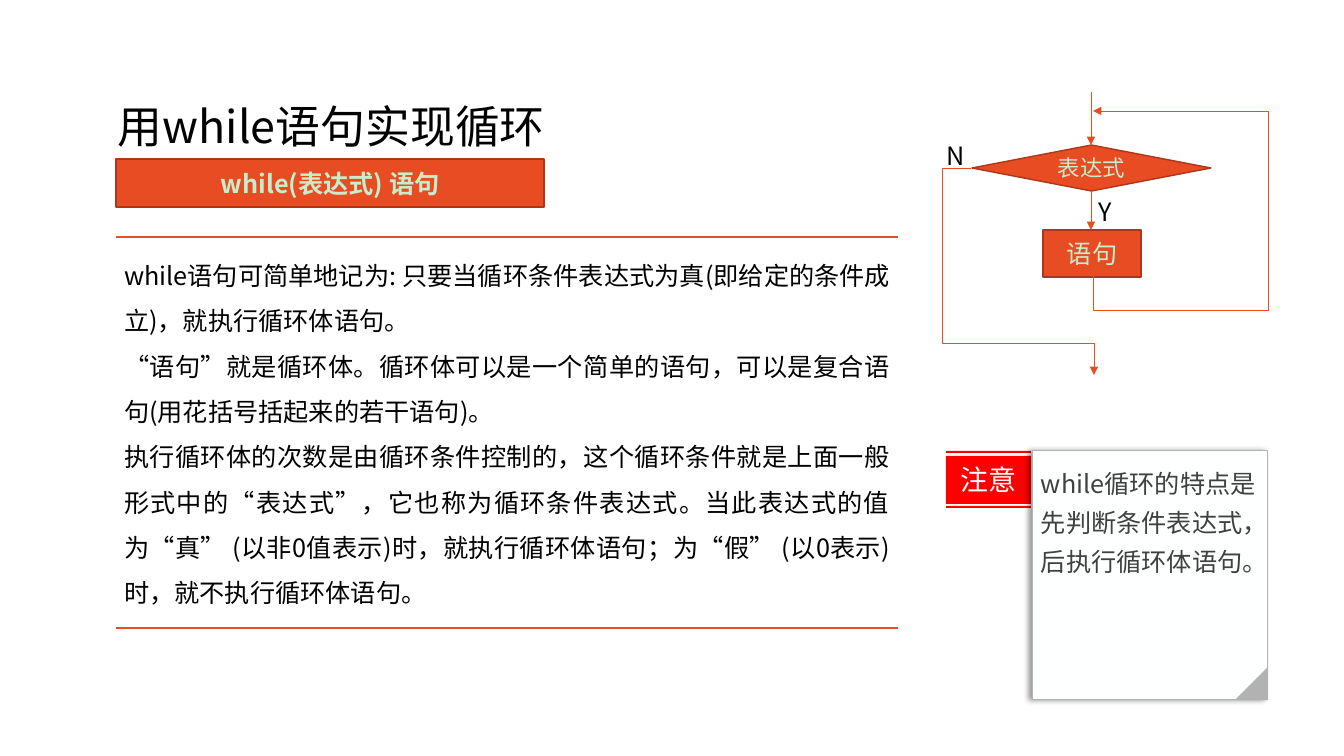
import lxml.etree
import pptx
import pptx.dml.color
import pptx.enum.shapes
import pptx.enum.text
import pptx.oxml.ns
import pptx.util

PX = 914400 / 100.8
THEME = {
    "font": "Noto Sans CJK SC",
    "orange": "E84C22", "rust": "AC3819", "mint": "C7EDCC", "red": "FF0000",
    "white": "FEFFFF", "grey": "B2B2B2", "dark": "404040", "black": "000000",
    "title": 32, "tag": 20, "body": 18, "small": 16,
}
KIND = pptx.enum.shapes.MSO_SHAPE
ALIGN = pptx.enum.text.PP_ALIGN
ANCHOR = pptx.enum.text.MSO_ANCHOR
qn = pptx.oxml.ns.qn


def dress(shape, fill=None, line=None, width=1, arrow=False):
    """Set fill and outline, drop the theme shadow and return the effect list."""
    if hasattr(shape, "fill"):
        if fill:
            shape.fill.solid()
            shape.fill.fore_color.rgb = pptx.dml.color.RGBColor.from_string(THEME[fill])
        else:
            shape.fill.background()
    if line:
        shape.line.color.rgb = pptx.dml.color.RGBColor.from_string(THEME[line])
        shape.line.width = pptx.util.Pt(width)
    else:
        shape.line.fill.background()
    props = shape.element.spPr
    if arrow:
        lxml.etree.SubElement(props.find(qn("a:ln")), qn("a:tailEnd"), type="triangle")
    return lxml.etree.SubElement(props, qn("a:effectLst"))


def write(shape, text, size, color, bold=False, align=ALIGN.CENTER,
          anchor=ANCHOR.MIDDLE, space=1.0, inset=None):
    frame = shape.text_frame
    form = {"text": text, "word_wrap": True, "vertical_anchor": anchor}
    if inset is not None:
        for side in ("left", "top", "right", "bottom"):
            form["margin_" + side] = round(inset * PX)
    for name, value in form.items():
        setattr(frame, name, value)
    for para in frame.paragraphs:
        para.alignment, para.line_spacing = align, space
        font = para.runs[0].font
        look = {"name": THEME["font"], "size": pptx.util.Pt(THEME[size]), "bold": bold}
        for name, value in look.items():
            setattr(font, name, value)
        font.color.rgb = pptx.dml.color.RGBColor.from_string(THEME[color])
        lxml.etree.SubElement(para.runs[0].font._element, qn("a:ea"), typeface=THEME["font"])


deck = pptx.Presentation()
deck.slide_width, deck.slide_height = round(1344 * PX), round(756 * PX)
slide = deck.slides.add_slide(deck.slide_layouts[6])
shapes = slide.shapes

# Title and the letters of the flow chart
for text, box, size, anchor, space in [
    ("用while语句实现循环", (108, 37, 653, 184), "title", ANCHOR.MIDDLE, 0.9),
    ("Y", (1089, 191, 50, 40), "body", ANCHOR.TOP, 1.0),
    ("N", (937, 135, 50, 40), "body", ANCHOR.TOP, 1.0),
]:
    label = shapes.add_textbox(*[round(n * PX) for n in box])
    write(label, text, size, "black", align=ALIGN.LEFT, anchor=anchor, space=space)

# Syntax banner and flow chart boxes
for kind, text, box, size, bold in [
    (KIND.RECTANGLE, "while(表达式) 语句", (116, 159, 428, 48), "body", True),
    (KIND.FLOWCHART_DECISION, "表达式", (972, 145, 239, 46), "small", False),
    (KIND.RECTANGLE, "语句", (1043, 230, 98, 47), "body", False),
]:
    block = shapes.add_shape(kind, *[round(n * PX) for n in box])
    dress(block, "orange", "rust")
    write(block, text, size, "mint", bold)

# Straight arrows of the flow chart
for top, end in [(92, 145), (191, 230)]:
    arrow = shapes.add_connector(pptx.enum.shapes.MSO_CONNECTOR.STRAIGHT,
                                 *[round(n * PX) for n in (1091, top, 1091, end)])
    dress(arrow, line="orange", width=0.5, arrow=True)

# Bent arrows: back to the test, and out of the loop
for start, *turns in [
    [(1093, 274), (1093, 310), (1268, 310), (1268, 111), (1093, 111)],
    [(971, 168), (942, 168), (942, 343), (1094, 343), (1094, 375)],
]:
    route = shapes.build_freeform(*start, scale=PX)
    route.add_line_segments(turns, close=False)
    dress(route.convert_to_shape(), line="orange", width=0.5, arrow=True)

# Main text between two rules
rules = shapes.build_freeform(116, 628, scale=PX)
rules.add_line_segments([(898, 628)], close=False)
rules.move_to(116, 237)
rules.add_line_segments([(898, 237)], close=False)
body = rules.convert_to_shape()
dress(body, line="orange", width=2)
write(body, "\n".join([
    "while语句可简单地记为: 只要当循环条件表达式为真(即给定的条件成立)，就执行循环体语句。",
    "“语句”就是循环体。循环体可以是一个简单的语句，可以是复合语句(用花括号括起来的若干语句)。",
    "执行循环体的次数是由循环条件控制的，这个循环条件就是上面一般形式中的“表达式”，"
    "它也称为循环条件表达式。当此表达式的值为“真” (以非0值表示)时，就执行循环体语句；"
    "为“假” (以0表示)时，就不执行循环体语句。",
]), "body", "black", align=ALIGN.JUSTIFY, anchor=ANCHOR.TOP, space=1.5, inset=8)

# Red tag: a band with a thin bar above and below
bands = shapes.build_freeform(946, 451, scale=PX)
for top, end in [(451, 453), (456, 504), (506, 508)]:
    bands.move_to(946, top)
    bands.add_line_segments([(1031, top), (1031, end), (946, end)], close=True)
tag = bands.convert_to_shape()
dress(tag, "red")
write(tag, "注意", "tag", "white")

# Note with a soft shadow and a folded corner
note = shapes.add_shape(KIND.RECTANGLE, *[round(n * PX) for n in (1033, 451, 235, 249)])
glow = lxml.etree.SubElement(
    dress(note, "white", "grey", 0.75), qn("a:outerShdw"),
    blurRad=str(pptx.util.Pt(4)), dist=str(pptx.util.Pt(3)), dir="10800000")
shade = lxml.etree.SubElement(glow, qn("a:srgbClr"), val=THEME["black"])
lxml.etree.SubElement(shade, qn("a:alpha"), val="40000")
write(note, "while循环的特点是先判断条件表达式，后执行循环体语句。", "body", "dark",
      align=ALIGN.LEFT, anchor=ANCHOR.TOP, space=1.3, inset=8)

fold = shapes.add_shape(KIND.RIGHT_TRIANGLE, *[round(n * PX) for n in (1235, 667, 33, 33)])
fold.rotation = 270
dress(fold, "grey")

deck.save("out.pptx")
